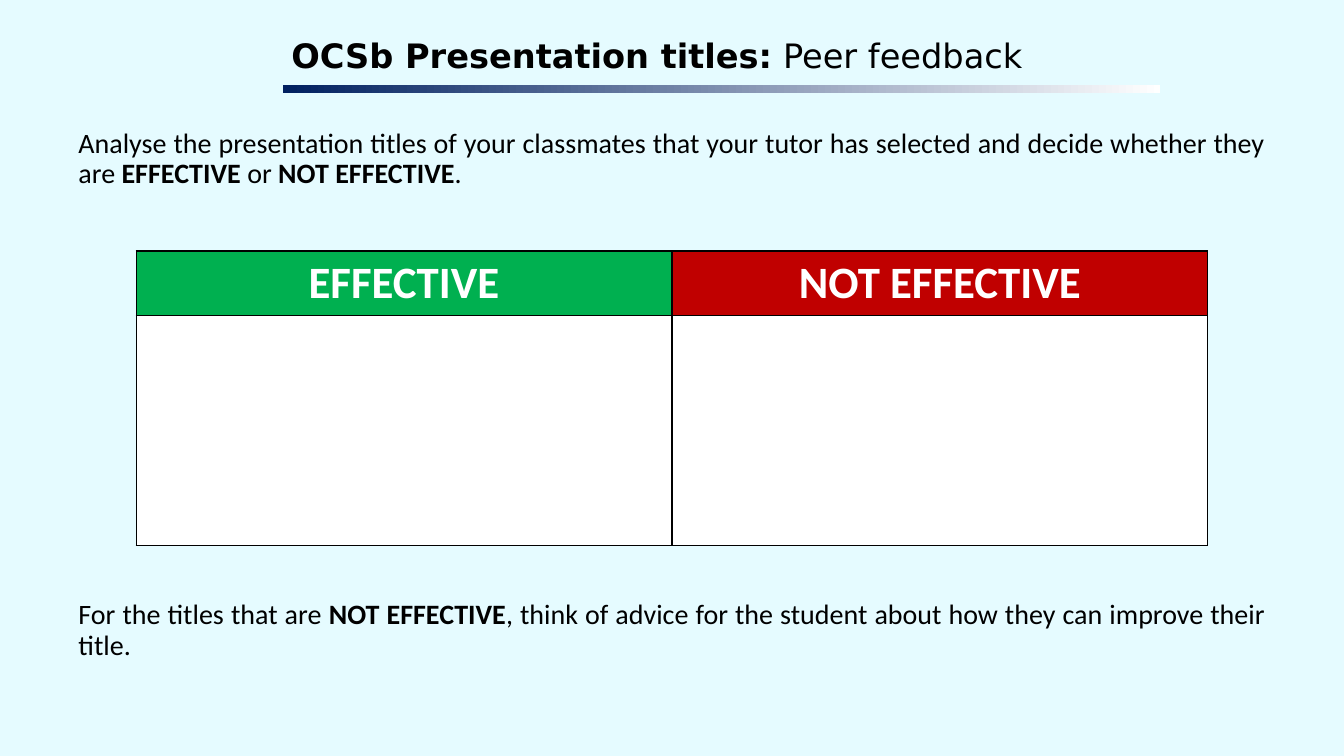
from lxml import etree
from pptx import Presentation
from pptx.dml.color import RGBColor
from pptx.enum.shapes import MSO_SHAPE
from pptx.enum.text import PP_ALIGN as Align, MSO_ANCHOR as Anchor
from pptx.oxml.ns import qn
from pptx.util import Inches, Pt

BLACK, WHITE, NAVY = "000000", "FFFFFF", "002060"
GREEN, RED, PALE_BLUE = "00B050", "C00000", "E5FBFF"


def paint(color, hex_value):
    color.rgb = RGBColor.from_string(hex_value)


def fill_solid(fill, hex_value):
    fill.solid()
    paint(fill.fore_color, hex_value)


def add_runs(p, parts, size, font, color=BLACK):
    """Add (text, bold) parts to a paragraph in one font."""
    for text, bold in parts:
        r = p.add_run()
        r.text = text
        r.font.size, r.font.name, r.font.bold = Pt(size), font, bold
        paint(r.font.color, color)


def add_title(s, x, y, w, h, parts):
    """Place the title with a fading bar along its lower edge."""
    bar_h, overhang = 0.08, 0.04
    group = s.shapes.add_group_shape()
    tf = group.shapes.add_textbox(
        Inches(x + overhang), Inches(y), Inches(w - overhang), Inches(h - bar_h)).text_frame
    tf.word_wrap = True
    tf.margin_left = tf.margin_right = tf.margin_top = tf.margin_bottom = Inches(0.04)
    add_runs(tf.paragraphs[0], parts, 24, "DejaVu Sans")

    bar = group.shapes.add_shape(
        MSO_SHAPE.RECTANGLE, Inches(x), Inches(y + h - bar_h), Inches(w), Inches(bar_h))
    bar.shadow.inherit = False
    bar.line.fill.background()
    bar.fill.gradient()
    bar.fill.gradient_angle = 180
    for stop, position, color in zip(bar.fill.gradient_stops, (0, 1), (WHITE, NAVY)):
        stop.position = position
        paint(stop.color, color)


def add_instruction(s, x, y, w, h, parts):
    tf = s.shapes.add_textbox(Inches(x), Inches(y), Inches(w), Inches(h)).text_frame
    tf.word_wrap = True
    p = tf.paragraphs[0]
    p.alignment, p.line_spacing = Align.JUSTIFY, 0.9
    add_runs(p, parts, 20, "Calibri")


def add_borders(cell):
    tc_pr = cell._tc.get_or_add_tcPr()
    for i, side in enumerate(("lnL", "lnR", "lnT", "lnB")):
        ln = etree.Element(qn(f"a:{side}"), w=str(Pt(1)))
        fill = etree.SubElement(ln, qn("a:solidFill"))
        etree.SubElement(fill, qn("a:srgbClr"), val=BLACK)
        tc_pr.insert(i, ln)


def add_sorting_table(s, x, y, w, h, headings):
    """Place one coloured heading above an empty cell for each category."""
    header_h = 0.64
    table = s.shapes.add_table(
        2, len(headings), Inches(x), Inches(y), Inches(w), Inches(h)).table
    table.rows[0].height = Inches(header_h)
    table.rows[1].height = Inches(h - header_h)
    for col, (text, color) in enumerate(headings):
        head, body = table.cell(0, col), table.cell(1, col)
        head.vertical_anchor = Anchor.MIDDLE
        p = head.text_frame.paragraphs[0]
        p.alignment = Align.CENTER
        add_runs(p, [(text, True)], 32, "Calibri", WHITE)
        for cell, background in ((head, color), (body, WHITE)):
            fill_solid(cell.fill, background)
            add_borders(cell)


def add_feedback_slide(prs):
    s = prs.slides.add_slide(prs.slide_layouts[6])
    fill_solid(s.background.fill, PALE_BLUE)
    add_title(s, 2.81, 0.31, 8.7, 0.61,
              [("OCSb Presentation titles:", True), (" Peer feedback", False)])
    left, width, height = 0.68, 11.97, 0.75
    add_instruction(s, left, 1.23, width, height, [
        ("Analyse the presentation titles of your classmates that your tutor "
         "has selected and decide whether they are ", False),
        ("EFFECTIVE", True), (" or ", False), ("NOT EFFECTIVE", True), (".", False)])
    add_sorting_table(s, 1.35, 2.49, 10.63, 2.92,
                      [("EFFECTIVE", GREEN), ("NOT EFFECTIVE", RED)])
    add_instruction(s, left, 5.91, width, height, [
        ("For the titles that are ", False), ("NOT EFFECTIVE", True),
        (", think of advice for the student about how they can improve "
         "their title.", False)])


def main():
    prs = Presentation()
    prs.slide_width, prs.slide_height = Inches(13.33), Inches(7.5)
    add_feedback_slide(prs)
    prs.save("out.pptx")


if __name__ == "__main__":
    main()
